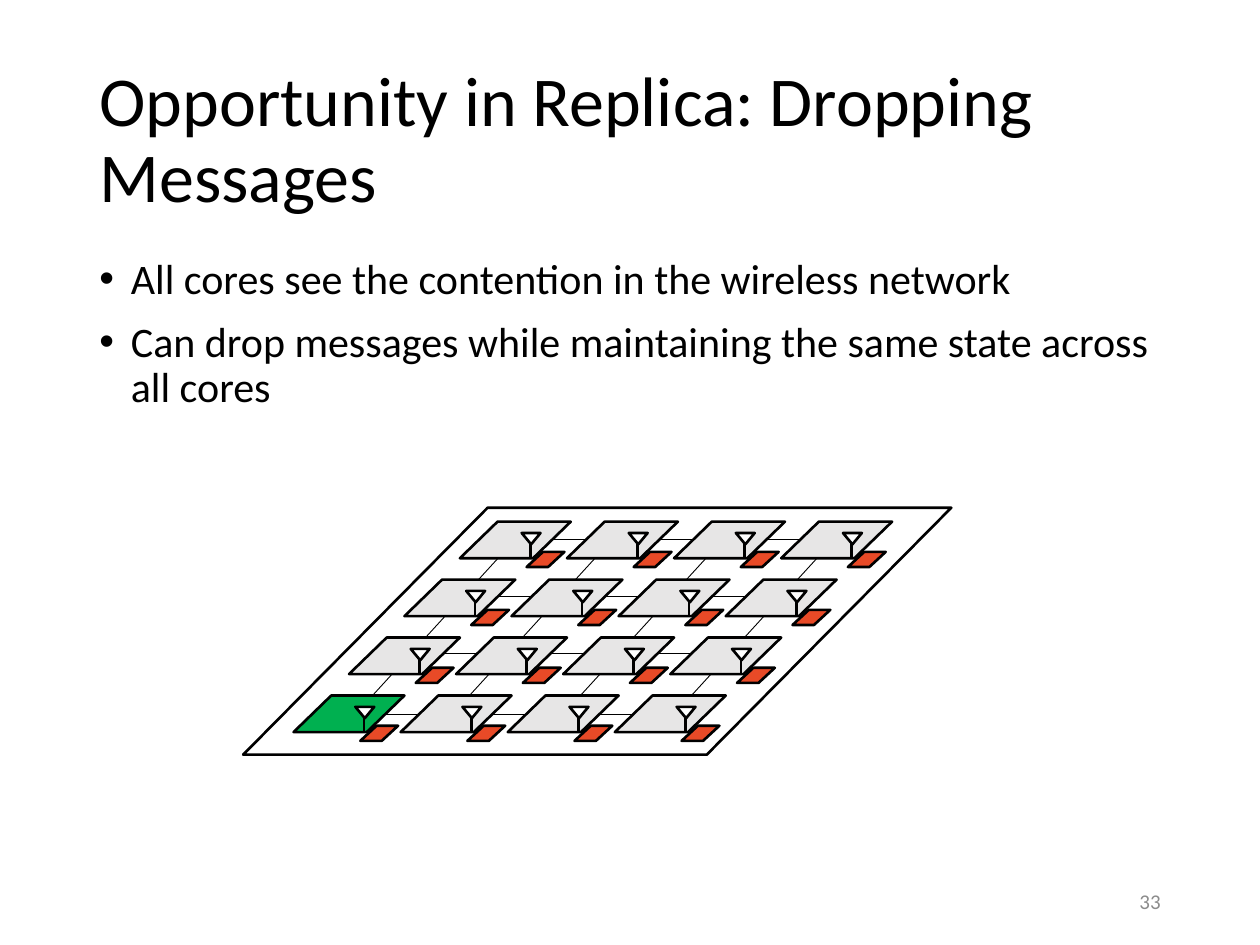
from lxml import etree
from pptx import Presentation
from pptx import util as u
from pptx.dml.color import RGBColor
from pptx.enum import shapes, text
from pptx.oxml.ns import qn

TITLE = "Opportunity in Replica: Dropping Messages"
BULLETS = [
    "All cores see the contention in the wireless network",
    "Can drop messages while maintaining the same state across all cores",
]
PAGE_NUMBER = "33"
COLORS = {"ink": "000000", "white": "FFFFFF", "core": "E7E6E6",
          "sender": "00B050", "chip": "E84A27", "number": "8C8C8C"}
FONT = "Calibri"

# Mesh geometry in inches
GRID = 4
SENDER = (3, 0)  # row, column
FIRST_CORE = (3.65, 4.14)
COLUMN_STEP = 0.85
ROW_SHIFT, ROW_STEP = -0.44, 0.46
ROW_LINKS = [(4.06, 4.28), (3.68, 4.73), (3.23, 5.19), (2.82, 5.67)]
ROW_LINK_LENGTH = 2.49
COLUMN_LINKS = [(4.1, 4.27), (4.86, 4.28), (5.75, 4.27), (6.64, 4.26)]
COLUMN_LINK_SPAN = (-1.28, 1.4)

deck = Presentation()
deck.slide_width, deck.slide_height = u.Inches(10), u.Inches(7.5)
page = deck.slides.add_slide(deck.slide_layouts[5])


def rgb(name):
    return RGBColor.from_string(COLORS[name])


def inches(*values):
    return [u.Inches(value) for value in values]


def add_shape(kind, place, fill, slant=None, rotation=0):
    shape = page.shapes.add_shape(kind, *inches(*place))
    shape.shadow.inherit = False
    shape.fill.solid()
    shape.fill.fore_color.rgb = rgb(fill)
    shape.line.color.rgb = rgb("ink")
    shape.line.width = u.Pt(1.5)
    shape.rotation = rotation
    if slant is not None:
        shape.adjustments[0] = slant


def add_line(x1, y1, x2, y2, width):
    line = page.shapes.add_connector(
        shapes.MSO_CONNECTOR.STRAIGHT, *inches(x1, y1, x2, y2))
    line.line.color.rgb = rgb("ink")
    line.line.width = u.Pt(width)
    etree.SubElement(line._element.spPr, qn("a:effectLst"))


def set_font(para, size, color):
    para.font.name = FONT
    para.font.size = u.Pt(size)
    para.font.color.rgb = rgb(color)


def add_core(x, y, fill):
    slanted = shapes.MSO_SHAPE.PARALLELOGRAM
    add_shape(slanted, (x, y, 0.88, 0.29), fill, 1.03)
    add_shape(slanted, (x + 0.53, y + 0.24, 0.3, 0.12), "chip", 1.08)
    # Antenna
    add_line(x + 0.56, y + 0.28, x + 0.56, y + 0.17, 1.5)
    add_shape(shapes.MSO_SHAPE.ISOSCELES_TRIANGLE,
              (x + 0.49, y + 0.09, 0.15, 0.09), "white", rotation=180)


# Title
title = page.shapes.title
title.left, title.top, title.width, title.height = inches(0.69, 0.4, 8.62, 1.45)
title.text_frame.text = TITLE
title.text_frame.auto_size = text.MSO_AUTO_SIZE.NONE
title.text_frame.vertical_anchor = text.MSO_ANCHOR.MIDDLE
heading = title.text_frame.paragraphs[0]
heading.alignment = text.PP_ALIGN.LEFT
heading.line_spacing = 0.9
set_font(heading, 40, "ink")

# Bullets
body = page.shapes.add_textbox(*inches(0.69, 2, 8.62, 4.76)).text_frame
body.word_wrap = True
for index, bullet in enumerate(BULLETS):
    para = body.add_paragraph() if index else body.paragraphs[0]
    para.text = bullet
    para.line_spacing = 0.9
    if index:
        para.space_before = u.Pt(10)
    props = para._p.get_or_add_pPr()
    props.set("marL", str(u.Inches(0.25)))
    props.set("indent", str(u.Inches(-0.25)))
    etree.SubElement(props, qn("a:buFont"), typeface="Arial")
    etree.SubElement(props, qn("a:buChar"), char="•")
    set_font(para, 24, "ink")

# Board and mesh links
add_shape(shapes.MSO_SHAPE.PARALLELOGRAM, (1.93, 4.03, 5.62, 1.96), "white", 0.99)
for x, y in COLUMN_LINKS:
    add_line(x, y, x + COLUMN_LINK_SPAN[0], y + COLUMN_LINK_SPAN[1], 0.5)
for x, y in ROW_LINKS:
    add_line(x, y, x + ROW_LINK_LENGTH, y, 0.5)

# Cores
for row in range(GRID):
    for column in range(GRID):
        add_core(FIRST_CORE[0] + column * COLUMN_STEP + row * ROW_SHIFT,
                 FIRST_CORE[1] + row * ROW_STEP,
                 "sender" if (row, column) == SENDER else "core")

# Page number
number = page.shapes.add_textbox(*inches(7.06, 6.95, 2.25, 0.4)).text_frame
number.word_wrap = True
number.vertical_anchor = text.MSO_ANCHOR.MIDDLE
number.text = PAGE_NUMBER
number.paragraphs[0].alignment = text.PP_ALIGN.RIGHT
set_font(number.paragraphs[0], 12, "number")

deck.save("out.pptx")
